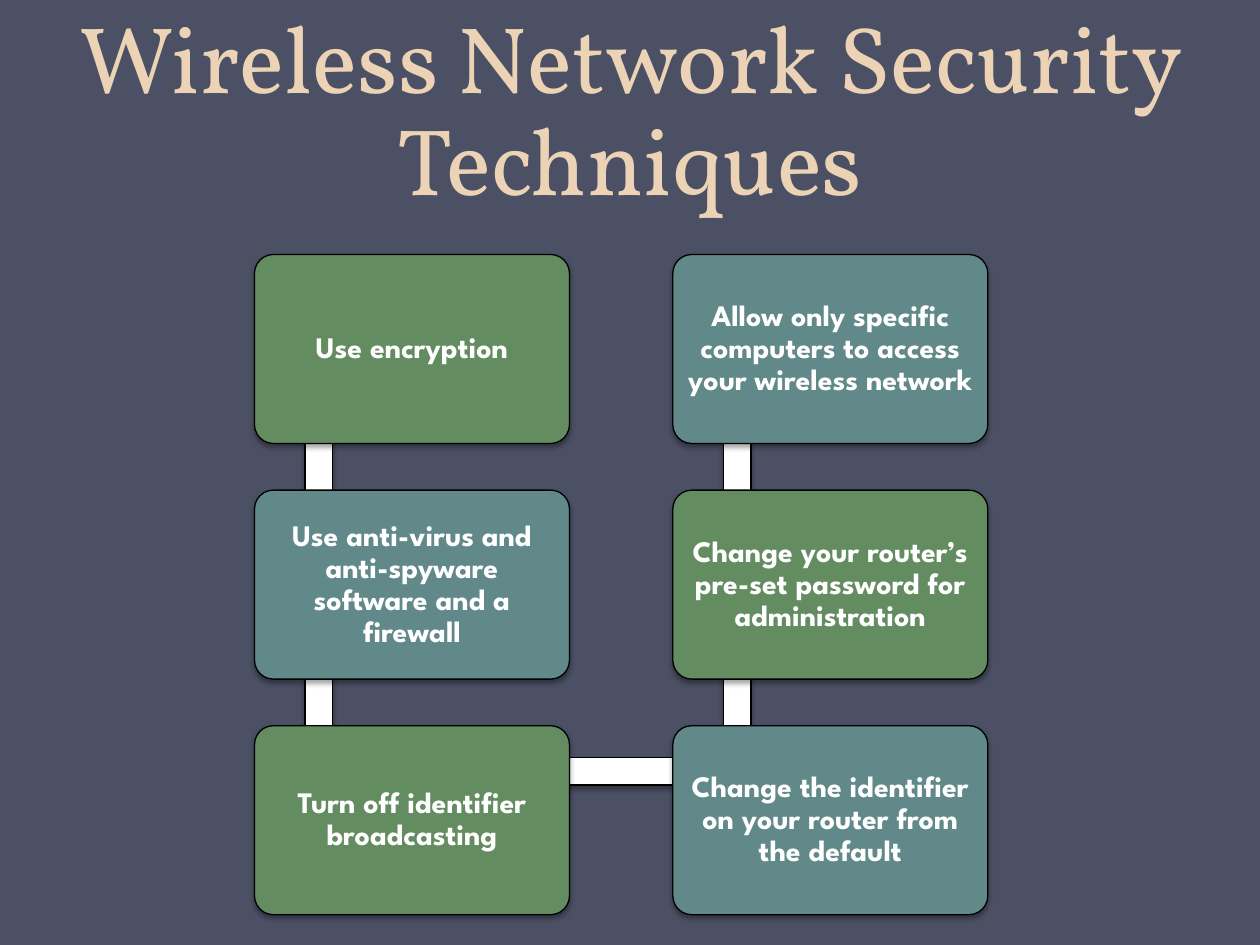
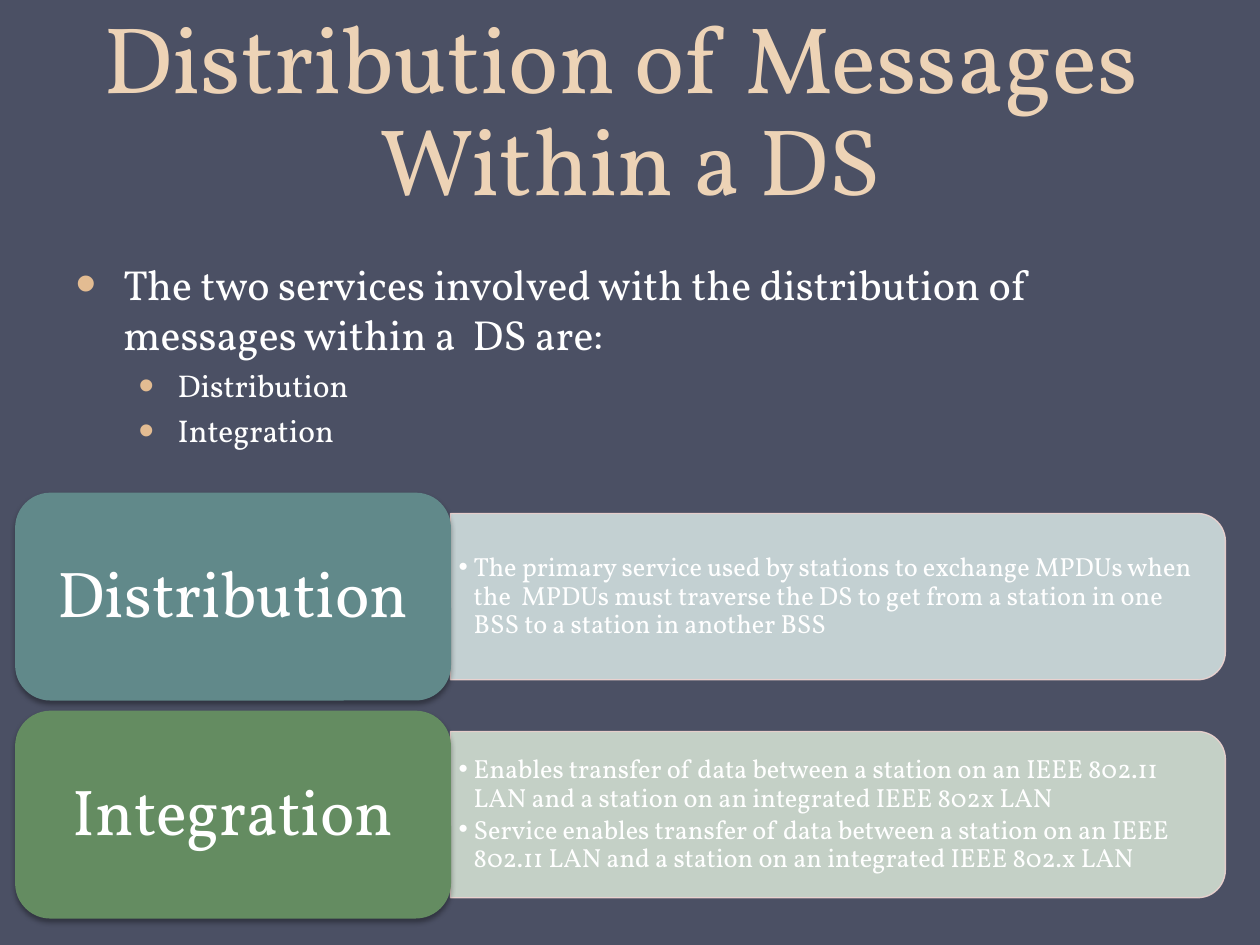
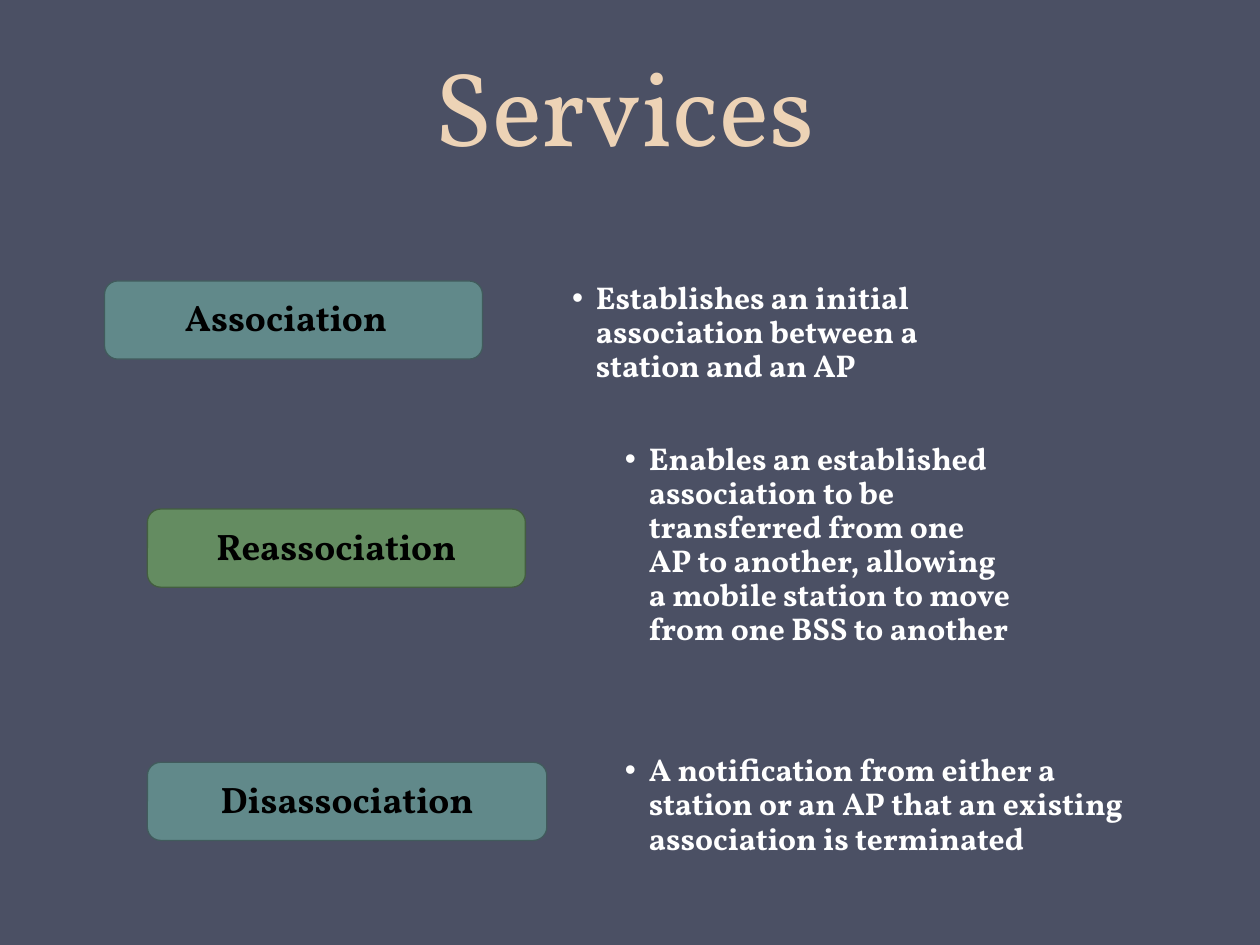
from lxml.etree import SubElement
from pptx import Presentation
from pptx.dml.color import RGBColor
from pptx.enum.shapes import MSO_SHAPE
from pptx.enum.text import MSO_ANCHOR, MSO_AUTO_SIZE, PP_ALIGN
from pptx.oxml.ns import qn
from pptx.util import Inches, Pt

COLORS = {
    "background": "4B5064",
    "title": "EDD3B6",
    "bullet": "E3BC92",
    "white": "FFFFFF",
    "black": "000000",
    "green": "648C61",
    "green_edge": "435E40",
    "green_pale": "D2DFD1",
    "teal": "61898A",
    "teal_edge": "415B5C",
    "teal_pale": "D1DEDF",
    "panel_edge": "EED3D0",
}
SERIF = "Vollkorn"
SANS = "League Spartan"

TITLE_PARAGRAPH = {"alignment": PP_ALIGN.CENTER, "line_spacing": Pt(58)}
LABEL_PARAGRAPH = {"alignment": PP_ALIGN.CENTER, "line_spacing": 0.9}
DETAIL_PARAGRAPH = {"alignment": PP_ALIGN.LEFT, "line_spacing": 0.9, "space_after": Pt(2)}


def rgb(color):
    return RGBColor.from_string(COLORS[color])


def set_attributes(target, values):
    for name, value in values.items():
        setattr(target, name, value)


def place(shape, left, top, width, height):
    set_attributes(shape, {"left": Inches(left), "top": Inches(top),
                           "width": Inches(width), "height": Inches(height)})


def font_values(size, name=SERIF, bold=False):
    return {"size": Pt(size), "name": name, "bold": bold}


def set_frame(frame, anchor, insets=(0.1, 0.05, 0.1, 0.05)):
    left, top, right, bottom = map(Inches, insets)
    set_attributes(frame, {"word_wrap": True, "auto_size": MSO_AUTO_SIZE.NONE,
                           "vertical_anchor": anchor, "margin_left": left,
                           "margin_top": top, "margin_right": right,
                           "margin_bottom": bottom})


def add_bullet(paragraph, indent, hanging, color="white", percent=100):
    properties = paragraph._p.get_or_add_pPr()
    properties.set("marL", str(Inches(indent)))
    properties.set("indent", str(-Inches(hanging)))
    bullet_color = SubElement(properties, qn("a:buClr"))
    SubElement(bullet_color, qn("a:srgbClr"), val=COLORS[color])
    SubElement(properties, qn("a:buSzPct"), val=str(percent * 1000))
    SubElement(properties, qn("a:buFont"), typeface="Arial")
    SubElement(properties, qn("a:buChar"), char="•")


def write_paragraph(paragraph, text, font, color, values):
    paragraph.text = text
    set_attributes(paragraph, values)
    for run in paragraph.runs:
        set_attributes(run.font, font)
        run.font.color.rgb = rgb(color)


def next_paragraph(frame, index):
    return frame.add_paragraph() if index else frame.paragraphs[0]


def add_alpha(fill_element, percent):
    color = fill_element.find(".//" + qn("a:srgbClr"))
    SubElement(color, qn("a:alpha"), val=str(percent * 1000))


def add_soft_shadow(shape):
    effects = shape._element.spPr.find(qn("a:effectLst"))
    shadow = SubElement(effects, qn("a:outerShdw"), blurRad=str(Pt(3.1)),
                        dist=str(Pt(1.8)), dir="5400000", rotWithShape="0")
    color = SubElement(shadow, qn("a:srgbClr"), val=COLORS["black"])
    SubElement(color, qn("a:alpha"), val="35000")


def add_block(slide, kind, box, fill, edge=None, shadow=False):
    shape = slide.shapes.add_shape(kind, *map(Inches, box))
    shape.shadow.inherit = False
    shape.fill.solid()
    shape.fill.fore_color.rgb = rgb(fill)
    if edge:
        shape.line.color.rgb = rgb(edge)
        shape.line.width = Pt(0.75)
    else:
        shape.line.fill.background()
    if shadow:
        add_soft_shadow(shape)
    return shape


def add_label(slide, box, text, fill, font, insets, color="white",
              edge=None, shadow=False, corner=0.17):
    shape = add_block(slide, MSO_SHAPE.ROUNDED_RECTANGLE, box, fill, edge, shadow)
    shape.adjustments[0] = corner
    set_frame(shape.text_frame, MSO_ANCHOR.MIDDLE, insets)
    write_paragraph(shape.text_frame.paragraphs[0], text, font, color, LABEL_PARAGRAPH)


def add_details(slide, box, texts, font, indent, insets, anchor):
    frame = slide.shapes.add_textbox(*map(Inches, box)).text_frame
    set_frame(frame, anchor, insets)
    for index, text in enumerate(texts):
        paragraph = next_paragraph(frame, index)
        add_bullet(paragraph, indent, indent)
        write_paragraph(paragraph, text, font, "white", DETAIL_PARAGRAPH)


def add_titled_slide(presentation, layout, title, box=(0.5, 0, 9, 1.75), size=54):
    slide = presentation.slides.add_slide(presentation.slide_layouts.get_by_name(layout))
    place(slide.shapes.title, *box)
    frame = slide.shapes.title.text_frame
    set_frame(frame, MSO_ANCHOR.BOTTOM)
    write_paragraph(frame.paragraphs[0], title, font_values(size), "title", TITLE_PARAGRAPH)
    return slide


def build_techniques(presentation):
    slide = add_titled_slide(presentation, "Title Only",
                             "Wireless Network Security Techniques")
    columns = [
        ["Use encryption",
         "Use anti-virus and anti-spyware software and a firewall",
         "Turn off identifier broadcasting"],
        ["Allow only specific computers to access your wireless network",
         "Change your router’s pre-set password for administration",
         "Change the identifier on your router from the default"],
    ]
    left, top, column_step, row_step = 2.02, 2.02, 3.32, 1.87
    bars = [(left + 0.4 + column * column_step, top + 0.37 + row * row_step, 0.22, row_step)
            for column in range(2) for row in range(2)]
    bars.append((left + 0.51, 6.01, column_step, 0.22))
    for bar in bars:
        add_block(slide, MSO_SHAPE.RECTANGLE, bar, "white", "black", shadow=True)
    for column, techniques in enumerate(columns):
        for row, technique in enumerate(techniques):
            box = (left + column * column_step, top + row * row_step, 2.5, 1.5)
            fill = ("green", "teal")[(column + row) % 2]
            add_label(slide, box, technique, fill, font_values(17, SANS, True),
                      (0.07,) * 4, edge="black", shadow=True, corner=0.1)


def add_service_list(slide, items):
    body = slide.placeholders[1]
    place(body, 0.5, 2, 9, 2.08)
    set_frame(body.text_frame, MSO_ANCHOR.TOP)
    levels = [(0.38, 0.38, 24), (0.81, 0.31, 18)]
    for index, (level, text) in enumerate(items):
        indent, hanging, size = levels[level]
        paragraph = next_paragraph(body.text_frame, index)
        add_bullet(paragraph, indent, hanging, "bullet", 140)
        values = {"level": level, "space_before": Pt(4 if index else 0)}
        write_paragraph(paragraph, text, font_values(size), "white", values)


def add_service_panel(slide, top, name, texts, color):
    panel = add_block(slide, MSO_SHAPE.ROUND_2_SAME_RECTANGLE,
                      (5.99, top - 2.25, 1.32, 6.15), color + "_pale", "panel_edge")
    panel.rotation = 90
    add_alpha(panel._element.spPr.find(qn("a:solidFill")), 90)
    add_alpha(panel._element.spPr.find(qn("a:ln")), 90)
    add_details(slide, (3.58, top + 0.23, 6.08, 1.19), texts, font_values(15), 0.12,
                (0.06, 0.03, 0.06, 0.03), MSO_ANCHOR.MIDDLE)
    add_label(slide, (0.12, top, 3.46, 1.65), name, color, font_values(37),
              (0.15, 0.08, 0.15, 0.08), shadow=True)


def build_distribution(presentation):
    slide = add_titled_slide(presentation, "Title and Content",
                             "Distribution of Messages \vWithin a DS")
    add_service_list(slide, [
        (0, "The two services involved with the distribution of messages within a  DS are:"),
        (1, "Distribution"),
        (1, "Integration"),
    ])
    panels = [
        ("Distribution", "teal",
         ["The primary service used by stations to exchange MPDUs when the  MPDUs must "
          "traverse the DS to get from a station in one BSS to a station in another BSS"]),
        ("Integration", "green",
         ["Enables transfer of data between a station on an IEEE 802.11 LAN and a station "
          "on an integrated IEEE 802x LAN",
          "Service enables transfer of data between a station on an IEEE 802.11 LAN and a "
          "station on an integrated IEEE 802.x LAN"]),
    ]
    for row, (name, color, texts) in enumerate(panels):
        add_service_panel(slide, 3.91 + row * 1.73, name, texts, color)


def build_services(presentation):
    slide = add_titled_slide(presentation, "Title Only", "Services",
                             (0, -0.04, 9.91, 1.42), 60)
    services = [
        ("Association", "teal", (0.83, 2.23, 3, 0.62), 0.21, (4.25, 2.21, 3.83, 0.65),
         "Establishes an initial association between a station and an AP"),
        ("Reassociation", "green", (1.17, 4.04, 3, 0.62), 0.09, (4.67, 3.49, 3.5, 2.1),
         "Enables an established association to be transferred from one AP to another, "
         "allowing a mobile station to move from one BSS to another"),
        ("Disassociation", "teal", (1.17, 6.05, 3.17, 0.62), 0.09, (4.67, 5.96, 4.5, 1.22),
         "A notification from either a station or an AP that an existing association "
         "is terminated"),
    ]
    for name, color, label_box, right_inset, detail_box, detail in services:
        add_label(slide, label_box, name, color, font_values(21, bold=True),
                  (0.09, 0.09, right_inset, 0.09), "black", color + "_edge")
        add_details(slide, detail_box, [detail], font_values(18, bold=True), 0.19,
                    (0.29, 0.03, 0.14, 0.03), MSO_ANCHOR.TOP)


def main():
    presentation = Presentation()
    presentation.slide_width = Inches(10)
    presentation.slide_height = Inches(7.5)
    background = presentation.slide_master.background.fill
    background.solid()
    background.fore_color.rgb = rgb("background")
    build_techniques(presentation)
    build_distribution(presentation)
    build_services(presentation)
    presentation.save("out.pptx")


if __name__ == "__main__":
    main()
